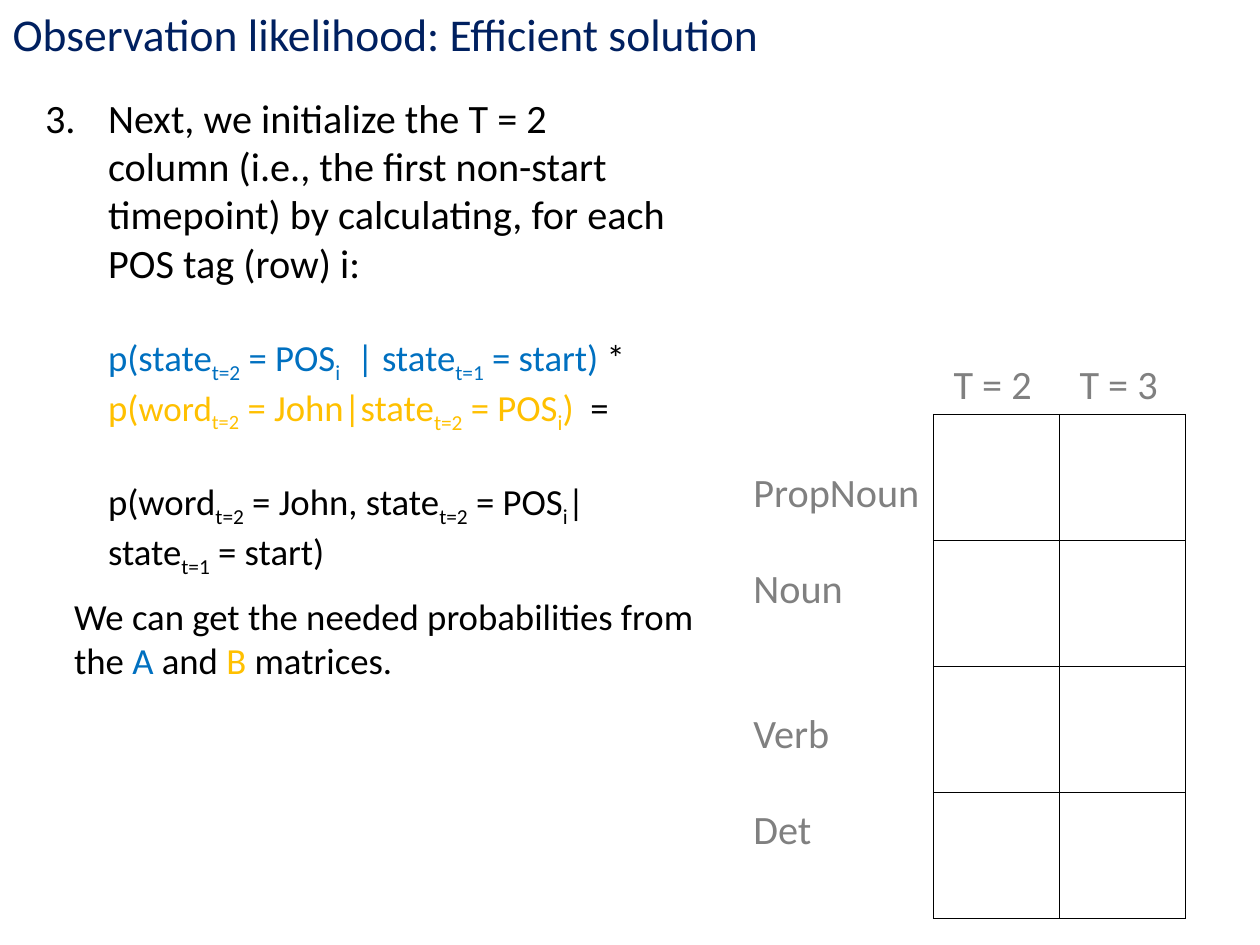
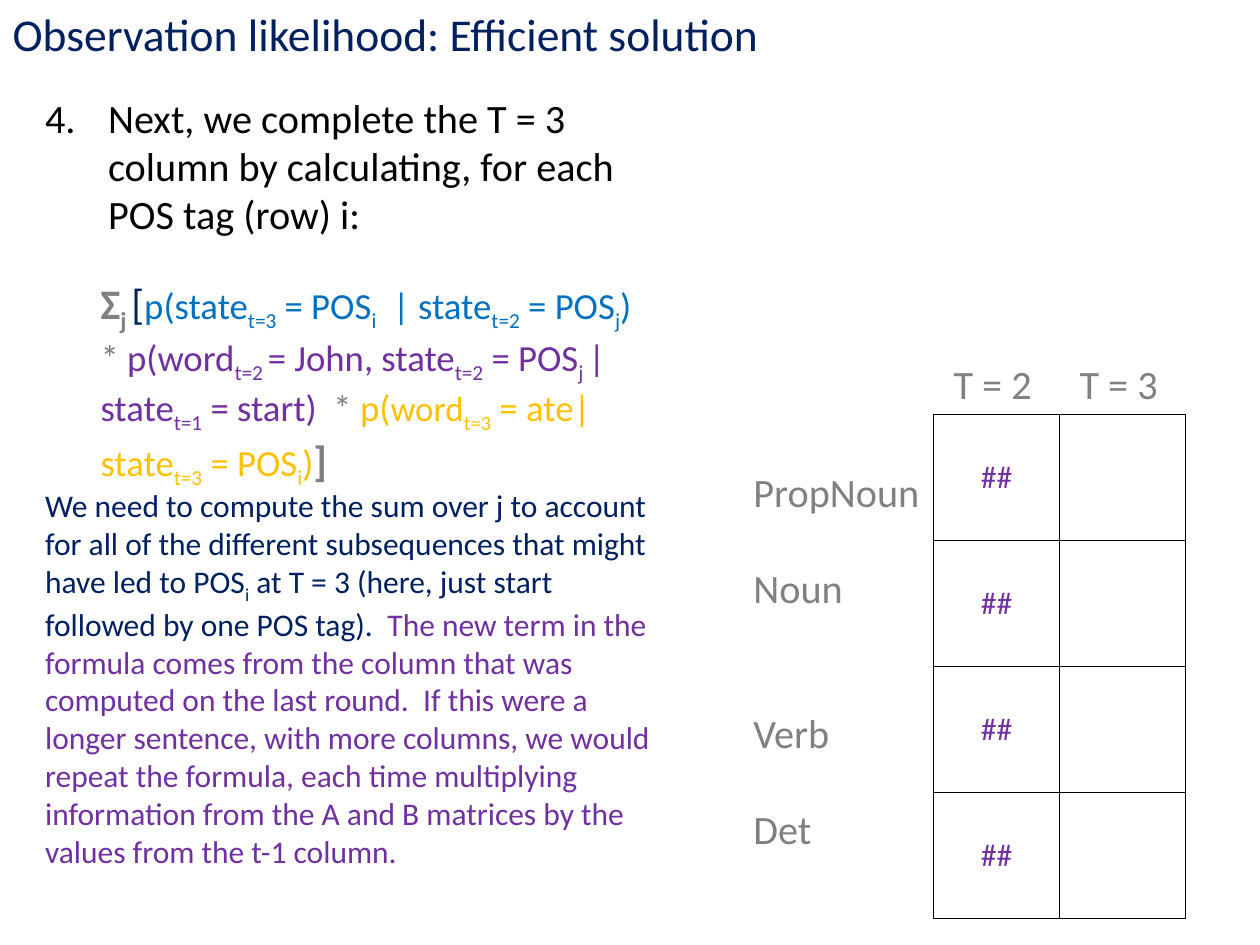
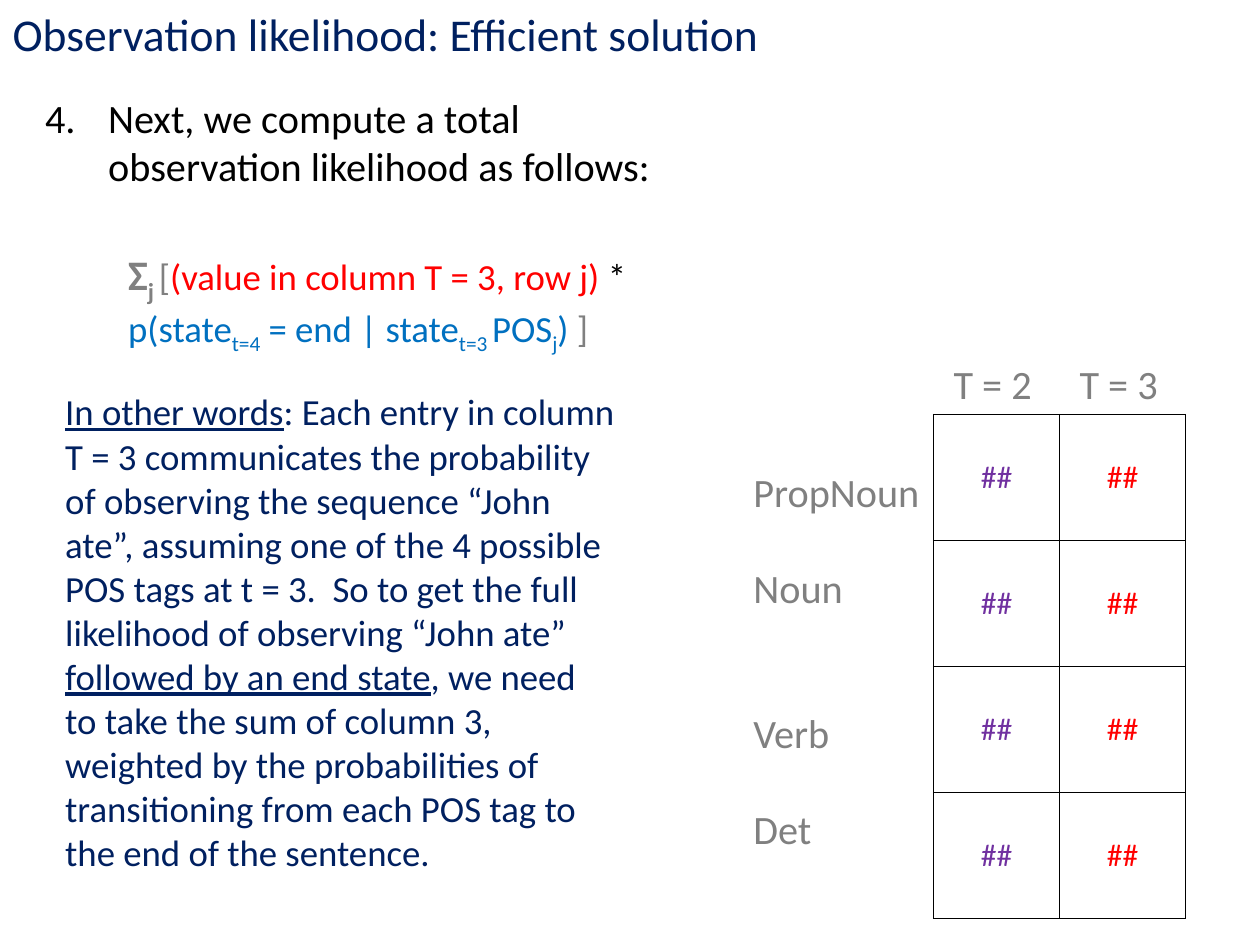
"""Build three slides on the efficient solution for observation likelihood."""
from lxml.etree import SubElement
from pptx import Presentation
from pptx.dml.color import RGBColor
from pptx.enum.text import MSO_ANCHOR, MSO_AUTO_SIZE, PP_ALIGN
from pptx.oxml.ns import qn
from pptx.util import Pt

BLACK, NAVY, GRAY, RED = "000000", "002060", "808080", "FF0000"
BLUE, GOLD, PURPLE = "0070C0", "FFC000", "7030A0"
BIG, MID, SMALL = 23, 21, 18
STEP, LINE = 36, 27.5
SUM = {"size": Pt(24), "bold": True}
LARGE = {"size": Pt(24)}
WORD = {"size": Pt(20)}
UNDER = {"underline": True}


def fill(frame, paras, size):
    """Write (left, number, gap, runs) paragraphs; underscores enclose subscripts."""
    for pos, (left, num, gap, runs) in enumerate(paras):
        para = frame.add_paragraph() if pos else frame.paragraphs[0]
        para.alignment = PP_ALIGN.LEFT
        para.space_before = Pt(gap)
        props = para._p.get_or_add_pPr()
        props.set("marL", str(Pt(left)))
        props.set("indent", str(Pt(-left if num else 0)))
        if num:
            SubElement(props, qn("a:buFont"), typeface="+mj-lt")
            SubElement(props, qn("a:buAutoNum"), type="arabicPeriod", startAt=str(num))
        for text, color, *extra in runs:
            look = {"name": "Calibri", "size": Pt(size)}
            for part in extra:
                look.update(part)
            for odd, piece in enumerate(text.split("_")):
                if not piece:
                    continue
                run = para.add_run()
                run.text = piece
                for key, value in look.items():
                    setattr(run.font, key, value)
                run.font.color.rgb = RGBColor.from_string(color)
                if odd % 2:
                    run._r.get_or_add_rPr().set("baseline", "-25000")


def place(shape, spot, paras, size):
    """Move a text shape to its spot and write its paragraphs."""
    for key, value in zip(("left", "top", "width", "height"), spot):
        setattr(shape, key, Pt(value))
    frame = shape.text_frame
    look = {"word_wrap": True, "auto_size": MSO_AUTO_SIZE.SHAPE_TO_FIT_TEXT,
            "vertical_anchor": MSO_ANCHOR.TOP}
    for key, value in look.items():
        setattr(frame, key, value)
    fill(frame, paras, size)


start = [
    ("p(state_t=2_ = POS_i_  | state_t=1_ = start) ", BLUE),
    ("* ", BLACK),
    ("p(", GOLD),
    ("word_t=2_", GOLD, WORD),
    (" = John|state_t=2_ = POS_i_)  ", GOLD),
    ("=", BLACK),
]
joint = [("p(word_t=2_ = John, state_t=2_ = POS_i_| state_t=1_ = start)", BLACK)]
source = [
    ("We can get the needed probabilities from the ", BLACK),
    ("A ", BLUE),
    ("and ", BLACK),
    ("B", GOLD),
    (" matrices.", BLACK),
]
reason = [
    ("We need to compute the sum over j to account for all of the different "
     "subsequences that might have led to POS_i_ at T = 3 (here, just start "
     "followed by one POS tag).  ", NAVY),
    ("The new term in the formula comes from the column that was computed on "
     "the last round.  If this were a longer sentence, with more columns, we "
     "would repeat the formula, each time multiplying information from the A "
     "and B matrices by the values from the t-1 column.", PURPLE),
]
sigma = [("Σ_j_", GRAY, SUM), ("_ _", GRAY)]
chain = sigma + [
    ("[", NAVY, LARGE),
    ("p(state_t=3_ = POS_i_  | state_t=2_ = POS_j_) ", BLUE),
    ("* ", GRAY),
    ("p(word_t=2 _= John, state_t=2_ = POS_j _|state_t=1_ = start)  ", PURPLE),
    ("* ", GRAY),
    ("p(", GOLD),
    ("word_t=3_", GOLD, WORD),
    (" = ate|state_t=3_ = POS_i_)", GOLD),
    ("]", GRAY, SUM),
]
total = sigma + [
    ("[", GRAY),
    ("(value in column T = 3, row j) ", RED),
    ("* ", BLACK),
    ("p(state_t=4_ = end | state_t=3 _POS_j_) ", BLUE),
    ("]", GRAY),
]
recap = [
    ("In other words", NAVY, UNDER),
    (": Each entry in column T = 3 communicates the probability of observing "
     "the sequence “John ate”, assuming one of the 4 possible POS tags at "
     "t = 3.  So to get the full likelihood of observing “John ate” ", NAVY),
    ("followed by an end state", NAVY, UNDER),
    (", we need to take the sum of column 3, weighted by the probabilities of "
     "transitioning from each POS tag to the end of the sentence.", NAVY),
]

steps = [
    (3, "Next, we initialize the T = 2 column (i.e., the first non-start "
        "timepoint) by calculating, for each POS tag (row) i:", 299.5,
     [(STEP, 0, LINE, [(run[0], run[1], {"size": Pt(MID)}, *run[2:]) for run in start]),
      (STEP, 0, 25, [(*run, {"size": Pt(MID)}) for run in joint])],
     [],
     [((35.3, 335.5, 371.5, 58.3), [(0, 0, 0, source)], MID)]),
    (4, "Next, we complete the T = 3 column by calculating, for each POS tag "
        "(row) i:", 118.8, [],
     [PURPLE],
     [((18.7, 274.3, 371.5, 225.4), [(0, 0, 0, reason)], SMALL),
      ((14.4, 154.8, 360, 141.8), [(STEP, 0, 0, chain)], MID)]),
    (4, "Next, we compute a total observation likelihood as follows:", 88.6, [],
     [PURPLE, RED],
     [((30.2, 138.2, 360, 87.1), [(STEP, 0, 0, total)], MID),
      ((30.2, 218.9, 328.3, 312.5), [(0, 0, 0, recap)], MID)]),
]
tags = [("PropNoun", 0), ("Noun", LINE), ("Verb", 2 * LINE), ("Det", LINE)]
names = [(0, 0, gap, [(tag, GRAY)]) for tag, gap in tags]

deck = Presentation()
deck.slide_width, deck.slide_height = Pt(720), Pt(540)
for num, lead, high, more, inks, notes in steps:
    slide = deck.slides.add_slide(deck.slide_layouts[5])
    shapes = slide.shapes
    head = [(0, 0, 0, [("Observation likelihood: Efficient solution", NAVY)])]
    place(shapes.title, (0, 0, 697, 38.9), head, 26)
    body = [(STEP, num, 0, [(lead, BLACK)])] + more
    place(shapes.add_textbox(0, 0, 0, 0), (18.7, 49.7, 371.5, high), body, BIG)

    table = shapes.add_table(4, 2, Pt(533.5), Pt(236.9), Pt(144), Pt(288)).table
    table.first_row = table.horz_banding = False
    for line in [*table.rows]:
        line.height = Pt(72)
    for spot, cell in enumerate(table.iter_cells()):
        props = cell._tc.get_or_add_tcPr()
        for side in ("lnL", "lnR", "lnT", "lnB"):
            edge = SubElement(props, qn("a:" + side), w=str(Pt(1)))
            SubElement(SubElement(edge, qn("a:solidFill")), qn("a:srgbClr"), val=BLACK)
        cell.fill.background()
        cell.vertical_anchor = MSO_ANCHOR.MIDDLE
        col = spot % 2
        if col < len(inks):
            fill(cell.text_frame, [(0, 0, 0, [("##", inks[col])])], SMALL)
            cell.text_frame.paragraphs[0].alignment = PP_ALIGN.CENTER

    times = shapes.add_textbox(0, 0, 0, 0)
    place(times, (537.8, 201.6, 135.4, 35.3), [(0, 0, 0, [("T = 2\tT = 3", GRAY)])], BIG)
    props = times.text_frame.paragraphs[0]._p.get_or_add_pPr()
    SubElement(SubElement(props, qn("a:tabLst")), qn("a:tab"), pos=str(Pt(65.3)), algn="l")
    place(shapes.add_textbox(0, 0, 0, 0), (423.4, 263.5, 135.4, 230.4), names, BIG)
    for spot, paras, size in notes:
        place(shapes.add_textbox(0, 0, 0, 0), spot, paras, size)

deck.save("out.pptx")
